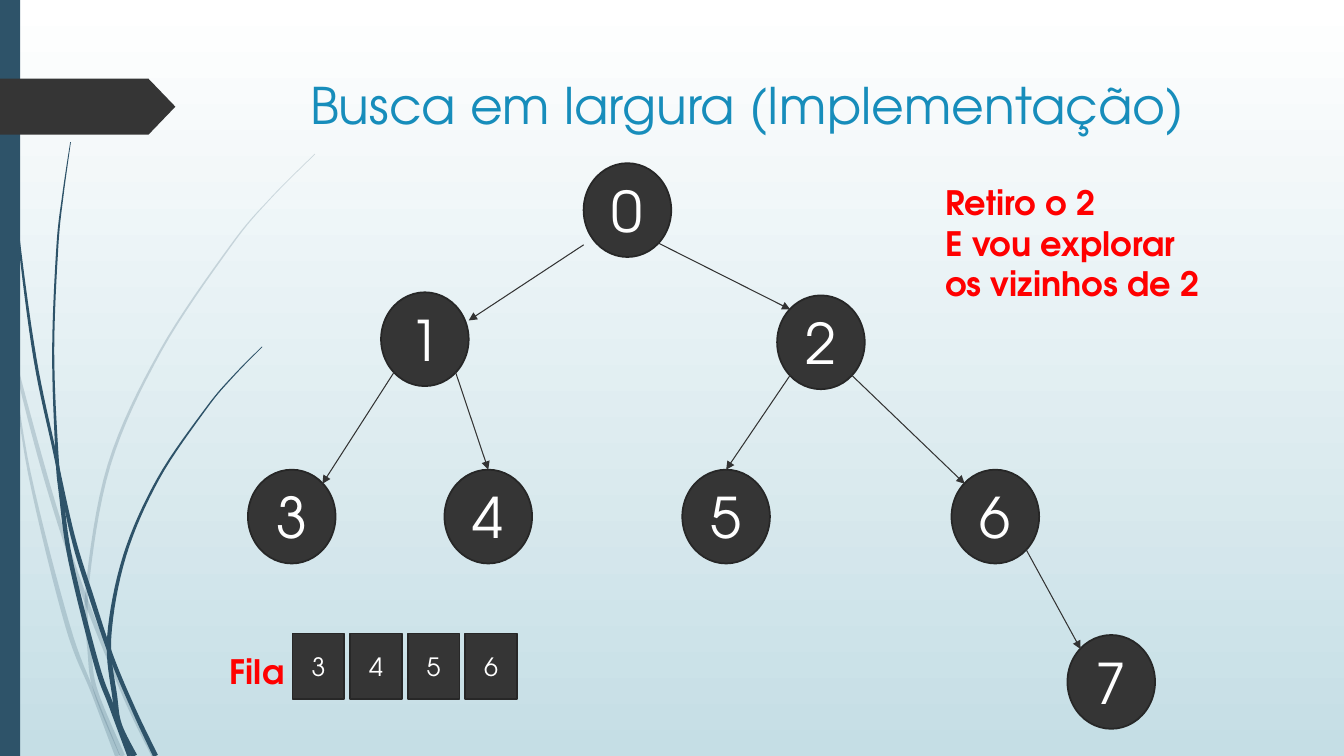
from dataclasses import dataclass
from math import hypot

from lxml.etree import SubElement
from pptx import Presentation
from pptx.dml.color import RGBColor as Rgb
from pptx.enum.shapes import MSO_CONNECTOR as Connector
from pptx.enum.shapes import MSO_SHAPE as Preset
from pptx.enum.text import MSO_ANCHOR as Anchor
from pptx.enum.text import MSO_AUTO_SIZE as AutoSize
from pptx.enum.text import PP_ALIGN as Align
from pptx.oxml.ns import qn
from pptx.util import Pt


@dataclass(frozen=True)
class Theme:
    font: str = "TeX Gyre Adventor"
    sky_top: Rgb = Rgb(0xFF, 0xFF, 0xFF)
    sky_bottom: Rgb = Rgb(0xC5, 0xDE, 0xE5)
    grass: Rgb = Rgb(0x2E, 0x53, 0x69)
    dark: Rgb = Rgb(0x35, 0x35, 0x35)
    outline: Rgb = Rgb(0x27, 0x27, 0x27)
    arrow: Rgb = Rgb(0x33, 0x33, 0x33)
    title: Rgb = Rgb(0x17, 0x8D, 0xBB)
    light: Rgb = Rgb(0xFF, 0xFF, 0xFF)
    note: Rgb = Rgb(0xFF, 0, 0)
    title_size: int = 36
    node_size: int = 40
    note_size: int = 24
    queue_size: int = 18


THEME = Theme()

PALE_STEMS = [
    [(0, 209, 1), (9, 251, 2), (26, 317, 3), (43, 375, 3), (63, 433, 3),
     (90, 499, 3), (110, 540, 3.3)],
    [(8, 252, 0.5), (21, 338, 2), (48, 446, 3.4), (66.5, 495, 2.5), (84, 540, 3.6)],
    [(225, 110, 0.5), (193, 142, 0.6), (164.5, 176, 1), (114.5, 251, 1.5),
     (78, 332, 2.2), (62.3, 420, 2.2), (64, 465, 2.9), (68.5, 494, 3), (87.5, 540, 3.6)],
]
DARK_STEMS = [
    [(2.5, 0, 0.7), (4.5, 79, 1), (13, 167, 1.4), (25, 256, 2.2), (39.5, 325, 2.2),
     (52, 383, 3), (65, 425.5, 3.4), (80, 470, 3), (96.5, 509, 3), (111.2, 540, 3.6)],
    [(50.4, 101.5, 0.5), (45, 139, 1), (41, 176, 1.4), (38, 251, 1.5), (40.7, 325, 2.2),
     (43.6, 353, 3), (50.4, 400.5, 3.2), (68.8, 474, 3.6), (79.5, 504, 3.6), (93, 540, 4)],
    [(187.2, 247.7, 0.5), (166.3, 269, 0.8), (147, 292, 1), (113, 342, 1.6),
     (89, 397, 2.2), (78, 455, 3), (82, 498, 3.6), (85.7, 518, 3), (96, 540, 4)],
]

NODE_WIDTH, NODE_HEIGHT = 62.6, 67
NODES = {
    "0": (416.9, 116.6),
    "1": (272.2, 208.8),
    "2": (555.1, 211),
    "3": (177.1, 335.5),
    "4": (317.5, 335.5),
    "5": (487.4, 335.5),
    "6": (679.7, 335.5),
    "7": (762.5, 453.6),
}
SITES = {
    "top": (0.5, 0),
    "upper left": (0.15, 0.15),
    "upper right": (0.85, 0.15),
    "lower left": (0.15, 0.85),
    "lower right": (0.85, 0.85),
    "left edge": (0, 0.87),
    "right edge": (1, 0.3),
}
EDGES = [
    ("0", "left edge", "1", "right edge"),
    ("0", "lower right", "2", "upper left"),
    ("1", "lower left", "3", "upper right"),
    ("1", "lower right", "4", "top"),
    ("2", "lower left", "5", "top"),
    ("2", "lower right", "6", "upper left"),
    ("6", "lower right", "7", "upper left"),
]
QUEUE = ["3", "4", "5", "6"]


def set_font(para, size, color, bold=False):
    para.font.name = THEME.font
    para.font.size = Pt(size)
    para.font.bold = bold
    para.font.color.rgb = color


def paint(shape, color, outline=None):
    shape.shadow.inherit = False
    shape.fill.solid()
    shape.fill.fore_color.rgb = color
    if outline is None:
        shape.line.fill.background()
    else:
        shape.line.color.rgb = outline
        shape.line.width = Pt(1.25)


def spline(knots, steps=8):
    padded = [knots[0], *knots, knots[-1]]
    points = []
    for a, b, c, d in zip(padded, padded[1:], padded[2:], padded[3:]):
        for step in range(steps):
            t = step / steps
            points.append([
                q + t * (r - p) / 2 + t**2 * (2 * p - 5 * q + 4 * r - s) / 2
                + t**3 * (3 * q - p - 3 * r + s) / 2
                for p, q, r, s in zip(a, b, c, d)
            ])
    return points + [knots[-1]]


def add_stem(page, knots, opacity=100):
    points = spline(knots)
    left, right = [], []
    for index, (x, y, width) in enumerate(points):
        before, after = points[max(index - 1, 0)], points[min(index + 1, len(points) - 1)]
        dx, dy = after[0] - before[0], after[1] - before[1]
        scale = width / 2 / hypot(dx, dy)
        left.append((Pt(x - dy * scale), Pt(y + dx * scale)))
        right.append((Pt(x + dy * scale), Pt(y - dx * scale)))
    outline = left + right[::-1]
    builder = page.shapes.build_freeform(*outline[0])
    builder.add_line_segments(outline[1:], close=True)
    stem = builder.convert_to_shape()
    paint(stem, THEME.grass)
    if opacity < 100:
        color = stem.element.spPr.find(qn("a:solidFill")).find(qn("a:srgbClr"))
        SubElement(color, qn("a:alpha")).set("val", str(opacity * 1000))


def add_block(page, preset, left, top, width, height, color, outline=None):
    block = page.shapes.add_shape(preset, Pt(left), Pt(top), Pt(width), Pt(height))
    paint(block, color, outline)
    return block


def add_label_block(page, preset, left, top, width, height, text, size):
    block = add_block(page, preset, left, top, width, height, THEME.dark, THEME.outline)
    frame = block.text_frame
    frame.vertical_anchor = Anchor.MIDDLE
    para = frame.paragraphs[0]
    para.text = text
    para.alignment = Align.CENTER
    set_font(para, size, THEME.light)


def add_edge(page, parent, start, child, end):
    ends = []
    for node, site in ((parent, start), (child, end)):
        (left, top), (across, down) = NODES[node], SITES[site]
        ends += [Pt(left + across * NODE_WIDTH), Pt(top + down * NODE_HEIGHT)]
    edge = page.shapes.add_connector(Connector.STRAIGHT, *ends)
    edge.line.color.rgb = THEME.arrow
    edge.line.width = Pt(0.75)
    SubElement(edge.line._get_or_add_ln(), qn("a:tailEnd")).set("type", "triangle")
    SubElement(edge.element.spPr, qn("a:effectLst"))


def add_note(page, left, top, width, height, lines):
    box = page.shapes.add_textbox(Pt(left), Pt(top), Pt(width), Pt(height))
    frame = box.text_frame
    frame.word_wrap = False
    frame.auto_size = AutoSize.SHAPE_TO_FIT_TEXT
    frame.text = "\n".join(lines)
    for para in frame.paragraphs:
        set_font(para, THEME.note_size, THEME.note, bold=True)


def set_title(page, text):
    title = page.shapes.title
    title.left, title.top, title.width, title.height = Pt(204.5), Pt(49), Pt(702), Pt(101)
    frame = title.text_frame
    frame.margin_left = Pt(17)
    frame.vertical_anchor = Anchor.TOP
    frame.text = text
    para = frame.paragraphs[0]
    para.alignment = Align.LEFT
    set_font(para, THEME.title_size, THEME.title)


def set_background(page):
    fill = page.background.fill
    fill.gradient()
    fill.gradient_angle = 270
    for stop, color in zip(fill.gradient_stops, (THEME.sky_top, THEME.sky_bottom)):
        stop.color.rgb = color


def main():
    deck = Presentation()
    deck.slide_width, deck.slide_height = Pt(960), Pt(540)
    page = deck.slides.add_slide(deck.slide_layouts[5])
    set_background(page)
    for knots in PALE_STEMS:
        add_stem(page, knots, opacity=20)
    for knots in DARK_STEMS:
        add_stem(page, knots)
    add_block(page, Preset.RECTANGLE, 0, 0, 14.4, 540, THEME.grass)
    banner = add_block(page, Preset.PENTAGON, 0, 56.2, 125.3, 40, THEME.dark)
    banner.adjustments[0] = 0.48
    set_title(page, "Busca em largura (Implementação)")
    for label, (left, top) in NODES.items():
        add_label_block(page, Preset.OVAL, left, top, NODE_WIDTH, NODE_HEIGHT,
                        label, THEME.node_size)
    for edge in EDGES:
        add_edge(page, *edge)
    for index, label in enumerate(QUEUE):
        add_label_block(page, Preset.RECTANGLE, 209 + 41.1 * index, 452.5, 37, 47,
                        label, THEME.queue_size)
    add_note(page, 157, 461.5, 54, 36, ["Fila"])
    add_note(page, 668, 126.7, 198, 94.5, ["Retiro o 2", "E vou explorar", "os vizinhos de 2"])
    deck.save("out.pptx")


if __name__ == "__main__":
    main()
